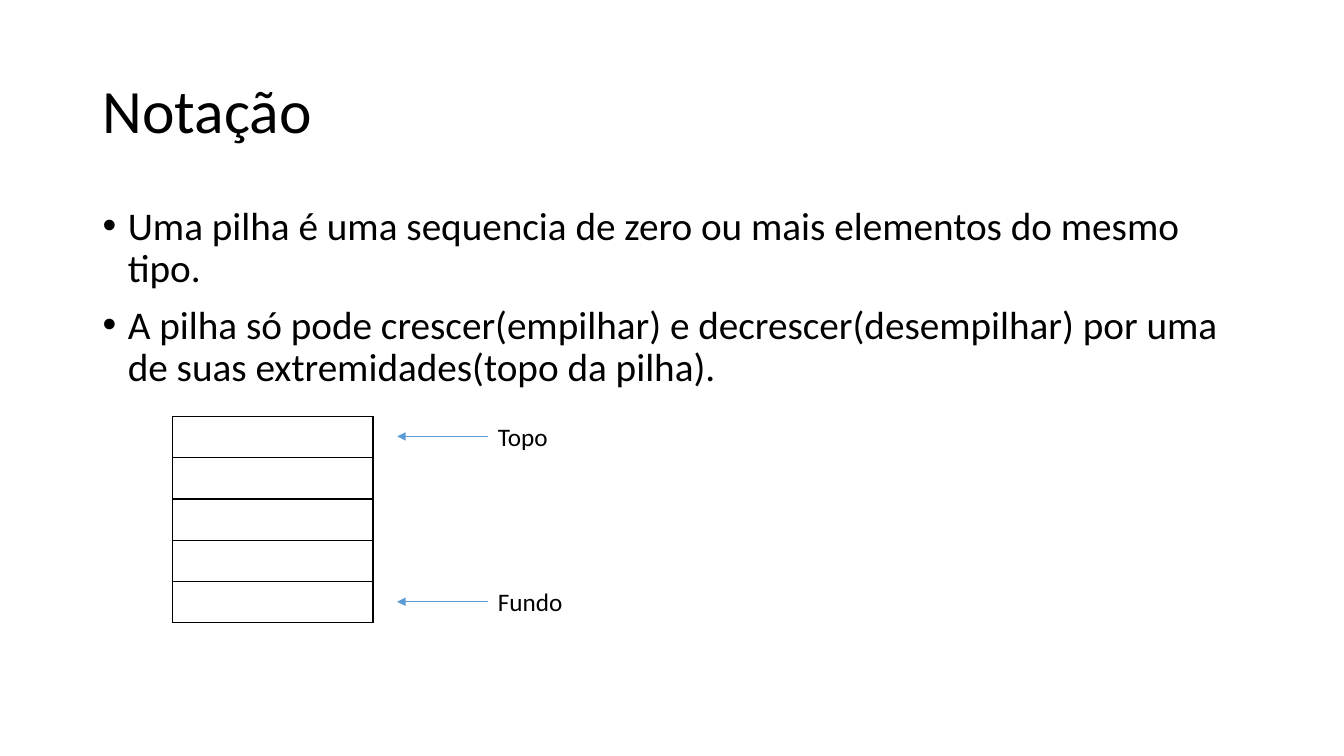
from lxml import etree
from pptx import Presentation
from pptx.dml.color import RGBColor
from pptx.enum.shapes import MSO_CONNECTOR
from pptx.enum.text import MSO_ANCHOR, MSO_AUTO_SIZE
from pptx.oxml.ns import qn
from pptx.util import Emu, Pt

STRAIGHT = MSO_CONNECTOR.STRAIGHT
TOP, MIDDLE = MSO_ANCHOR.TOP, MSO_ANCHOR.MIDDLE
GROW, FIXED = MSO_AUTO_SIZE.SHAPE_TO_FIT_TEXT, MSO_AUTO_SIZE.NONE
LEFT = 1


def px(n):
    """100 px to the inch."""
    return Emu(n * 9144)


def color(code):
    return RGBColor.from_string(code)


def sub(node, tag, **attrs):
    return etree.SubElement(node, qn(tag), **attrs)


def write(para, text, size=18, ink="000000", font="Calibri",
          lead=None, before=0, bullet=None, indent=0):
    run = para.add_run()
    run.text = text
    run.font.size = Pt(size)
    run.font.name = font
    run.font.color.rgb = color(ink)
    para.space_before = Pt(before)
    if lead:
        para.line_spacing = lead
    if bullet:
        props = para._p.get_or_add_pPr()
        props.set("marL", str(px(indent)))
        props.set("indent", str(-px(indent)))
        sub(props, "a:buFont", typeface="Arial")
        sub(props, "a:buChar", char=bullet)


class Deck:
    ink = "000000"
    accent = "5B9BD5"

    def __init__(self, wide, high):
        self.prs = Presentation()
        self.prs.slide_width, self.prs.slide_height = px(wide), px(high)
        self.slide = self.prs.slides.add_slide(self.prs.slide_layouts[6])

    def text(self, x, y, w, h, lines, anchor=TOP, fit=FIXED, **style):
        box = self.slide.shapes.add_textbox(px(x), px(y), px(w), px(h))
        frame = box.text_frame
        frame.word_wrap = True
        frame.auto_size = fit
        frame.vertical_anchor = anchor
        for i, line in enumerate(lines):
            para = frame.add_paragraph() if i else frame.paragraphs[0]
            write(para, line, ink=self.ink, **style)
        return box

    def stack(self, x, y, w, row, count):
        shape = self.slide.shapes.add_table(
            count, 1, px(x), px(y), px(w), px(row * count))
        table = shape.table
        table.first_row = table.horz_banding = False
        for cell in table.iter_cells():
            props = cell._tc.get_or_add_tcPr()
            for side in ("L", "R", "T", "B"):
                edge = sub(props, "a:ln" + side, w=str(Pt(1)))
                fill = sub(edge, "a:solidFill")
                sub(fill, "a:srgbClr", val=self.ink)
            cell.fill.background()

    def arrow(self, label, length):
        """Point left from the middle of the label's left side."""
        y = label.top + label.height // 2
        line = self.slide.shapes.add_connector(
            STRAIGHT, label.left, y, label.left - px(length), y)
        line.begin_connect(label, LEFT)
        line.line.color.rgb = color(self.accent)
        line.line.width = Pt(0.5)
        sub(line.line._get_or_add_ln(), "a:tailEnd", type="triangle")
        sub(line._element.spPr, "a:effectLst")


def main():
    deck = Deck(1333, 750)

    # Title and definition
    deck.text(92, 40, 1150, 145, ["Notação"], anchor=MIDDLE, size=44, lead=0.9)
    deck.text(92, 200, 1150, 476, [
        "Uma pilha é uma sequencia de zero ou mais elementos do mesmo tipo.",
        "A pilha só pode crescer(empilhar) e decrescer(desempilhar) por uma "
        "de suas extremidades(topo da pilha).",
    ], size=28, lead=0.9, before=10, bullet="•", indent=25)

    # Stack with its two ends marked
    top, row, count = 413, 41, 5
    deck.stack(171, top, 199, row, count)
    for name, level in (("Topo", 0), ("Fundo", count - 1)):
        label = deck.text(484, top + level * row, 107, 40, [name], fit=GROW)
        deck.arrow(label, 90)

    deck.prs.save("out.pptx")


if __name__ == "__main__":
    main()
